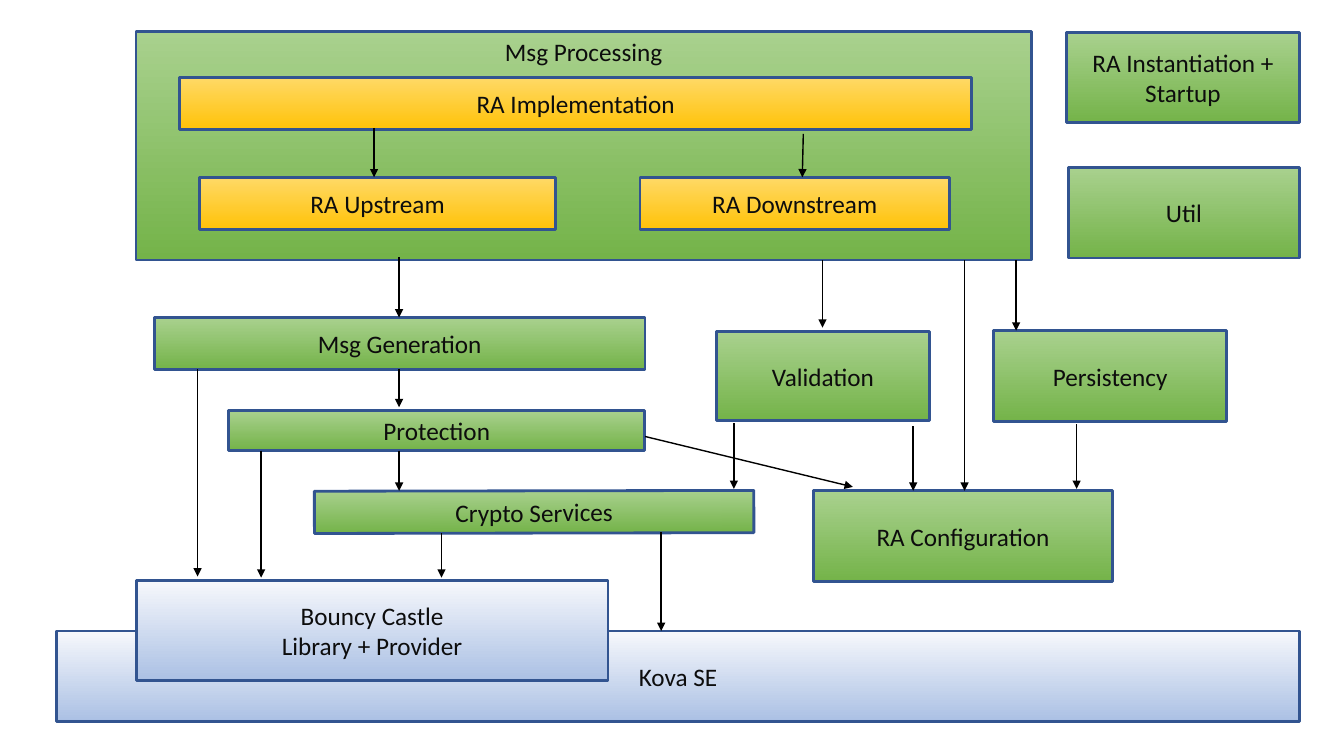
from dataclasses import dataclass

from pptx import Presentation, util as u
from pptx.dml.color import RGBColor as Rgb
from pptx.enum import shapes, text
from pptx.oxml import ns, xmlchemy as xml


@dataclass(frozen=True)
class Theme:
    green: tuple = ("A9D18E", "74B349")
    gold: tuple = ("FFD966", "FFC208")
    blue: tuple = ("F6F8FC", "ABC0E4")
    edge: str = "325490"
    ink: str = "0D0D0D"
    arrow: str = "000000"
    font: str = "Calibri"
    size: float = 18
    border: float = 2
    stroke: float = 1


THEME = Theme()
MID = text.MSO_ANCHOR.MIDDLE
TOP = text.MSO_ANCHOR.TOP


def apply(item, style):
    for name, value in style.items():
        setattr(item, name, value)


def add_box(slide, area, label, x, y, w, h, fill=THEME.green, anchor=MID, turn=0):
    left, top = area[:2]
    box = slide.shapes.add_shape(
        shapes.MSO_SHAPE.FLOWCHART_PROCESS,
        u.Pt(left + x), u.Pt(top + y), u.Pt(w), u.Pt(h))
    box.rotation = turn
    box.shadow.inherit = False
    box.fill.gradient()
    box.fill.gradient_angle = 270
    for stop, tone in zip(box.fill.gradient_stops, fill):
        stop.color.rgb = Rgb.from_string(tone)
    box.line.color.rgb = Rgb.from_string(THEME.edge)
    box.line.width = u.Pt(THEME.border)
    frame = box.text_frame
    frame.text = label
    apply(frame, {"word_wrap": True, "vertical_anchor": anchor})
    for para in frame.paragraphs:
        para.alignment = text.PP_ALIGN.CENTER
        apply(para.runs[0].font, {"name": THEME.font, "size": u.Pt(THEME.size)})
        para.runs[0].font.color.rgb = Rgb.from_string(THEME.ink)


def add_arrow(slide, area, x1, y1, x2, y2):
    left, top = area[:2]
    link = slide.shapes.add_connector(
        shapes.MSO_CONNECTOR.STRAIGHT,
        u.Pt(left + x1), u.Pt(top + y1), u.Pt(left + x2), u.Pt(top + y2))
    link.line.color.rgb = Rgb.from_string(THEME.arrow)
    link.line.width = u.Pt(THEME.stroke)
    props = link.element.spPr
    head = xml.OxmlElement("a:tailEnd")
    head.set("type", "triangle")
    props.find(ns.qn("a:ln")).append(head)
    props.append(xml.OxmlElement("a:effectLst"))


def add_drops(slide, area, drops):
    for x, start, end in drops:
        add_arrow(slide, area, x, start, x, end)


def draw_base(slide, area):
    w, h = area[2:]
    add_box(slide, area, "Kova SE", 0, h - 64.8, w, 64.8, THEME.blue)
    add_box(slide, area, "Bouncy Castle\nLibrary + Provider",
            57, 0, 337, 71.3, THEME.blue)


def draw_core(slide, area):
    w, h = area[2:]
    add_box(slide, area, "Msg Processing", 0, 0, w, h, anchor=TOP)
    for label, x, y, wide in (
            ("RA Implementation", 31, 33.1, 566),
            ("RA Upstream", 45.4, 104.4, 254.2),
            ("RA Downstream", 360, 104.4, 221)):
        add_box(slide, area, label, x, y, wide, 37.4, THEME.gold)
    add_arrow(slide, area, 170, 69, 170, 104.4)
    add_arrow(slide, area, 476.6, 73.4, 475.9, 104.4)


def draw_side(slide, area):
    w, h = area[2:]
    add_box(slide, area, "RA Instantiation + Startup", 0, 0, w, 64.8)
    add_box(slide, area, "Util", 1.4, h - 64.8, w - 1.4, 64.8)


def draw_chain(slide, area):
    w, h = area[2:]
    add_box(slide, area, "Msg Generation", 0, 0, 350.6, 37.4)
    add_box(slide, area, "Protection", 53.2, 66.2, 297.2, 28.8)
    add_box(slide, area, "Crypto Services", w - 313.9, h - 30.2, 313.9, 30.2,
            turn=359.9)
    add_drops(slide, area, (
        (174.9, -43, 0), (174.9, 36.7, 64.1), (174.9, 95, 123.8),
        (30.9, 36.7, 185), (76.3, 95, 185.8),
        (205.2, 154, 185.8), (362.1, 153.4, 223.9)))
    add_arrow(slide, area, 350.6, 85, 499, 121)


def draw_checks(slide, area):
    w, h = area[2:]
    add_box(slide, area, "Validation", 0, 0.7, 152, 63.4)
    add_box(slide, area, "Persistency", w - 166.3, 0, 166.3, 64.8)
    add_box(slide, area, "RA Configuration", 69.1, h - 64.8, 213.8, 64.8)
    add_drops(slide, area, (
        (177.1, -50.4, 114.4), (75.6, -50.4, -2.2), (213.9, -50.4, 0),
        (12.3, 66.2, 113), (140.4, 68.4, 114.4), (257.1, 66.9, 113)))


def main():
    deck = Presentation()
    apply(deck, {"slide_width": u.Pt(960), "slide_height": u.Pt(540)})
    slide = deck.slides.add_slide(deck.slide_layouts[6])
    draw_base(slide, (40.3, 414.7, 888, 100.8))
    draw_core(slide, (97.2, 22.3, 639.4, 163.4))
    draw_side(slide, (761.8, 23, 166.3, 161.3))
    draw_chain(slide, (110.2, 226.8, 428.3, 154))
    draw_checks(slide, (511.9, 236.2, 364.3, 179.2))
    deck.save("out.pptx")


if __name__ == "__main__":
    main()
